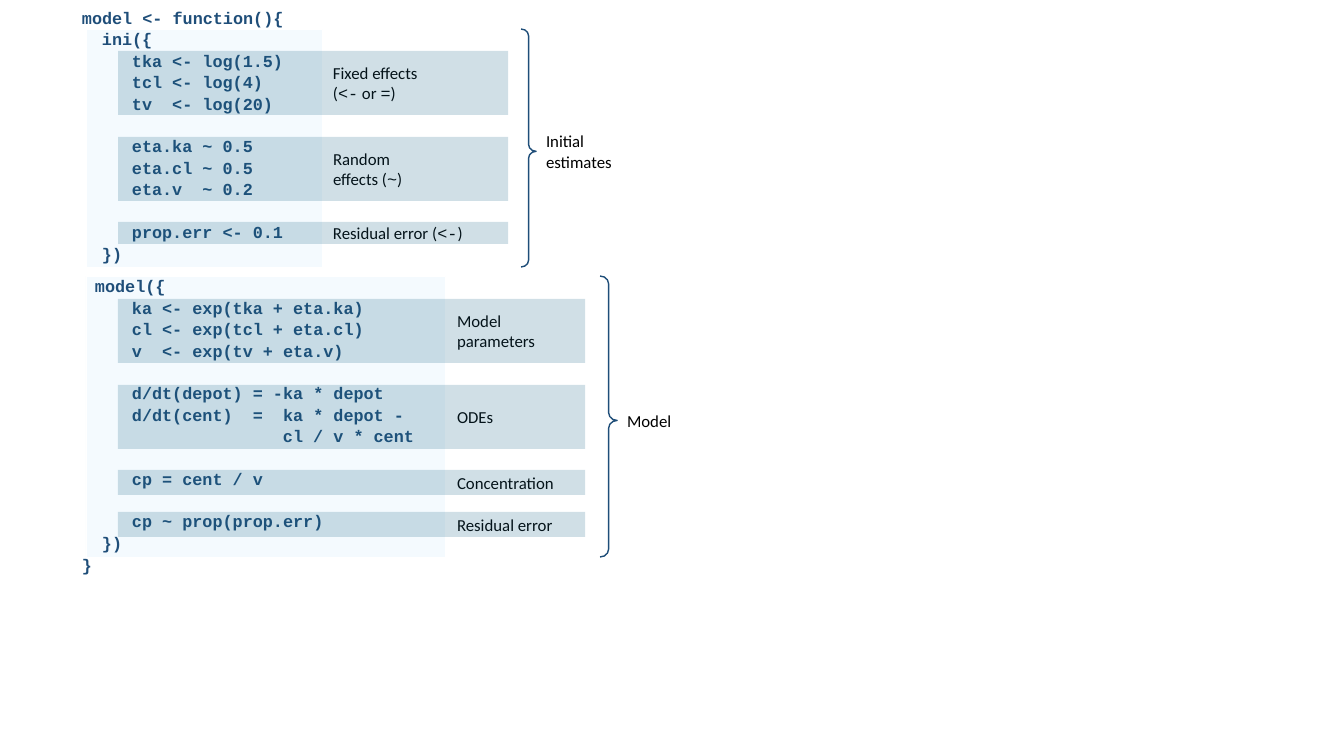
"""Build a slide that annotates the two blocks of a model function."""
from lxml import etree
from pptx import Presentation, util as u
from pptx.dml import color
from pptx.enum import shapes, text
from pptx.oxml import ns

COLORS = {"panel": "F4FAFE", "edge": "FFFFFF", "band": "156082",
          "code": "1F4E79", "label": "000000"}
BODY, MONO = "Calibri", "Courier New"
PX = 914400 / 100.8
ROW, BLOCK_GAP = 21, 11
CODE_BOX = (72, 1, 375, 598)
BAND_LEFT = 118
BRACE_BEND = (0.459, 0.514)

# (indent, space above, line)
CODE = [
    (0, 0, "model <- function(){"),
    (20, 0, "ini({"),
    (50, 0, "tka <- log(1.5)"),
    (50, 0, "tcl <- log(4)"),
    (50, 0, "tv  <- log(20)"),
    (50, ROW, "eta.ka ~ 0.5"),
    (50, 0, "eta.cl ~ 0.5"),
    (50, 0, "eta.v  ~ 0.2"),
    (50, ROW, "prop.err <- 0.1"),
    (20, 0, "})"),
    (13, BLOCK_GAP, "model({"),
    (50, 0, "ka <- exp(tka + eta.ka)"),
    (50, 0, "cl <- exp(tcl + eta.cl)"),
    (50, 0, "v  <- exp(tv + eta.v)"),
    (50, ROW, "d/dt(depot) = -ka * depot"),
    (50, 0, "d/dt(cent)  =  ka * depot -"),
    (201, 0, "cl / v * cent"),
    (50, ROW, "cp = cent / v"),
    (50, ROW, "cp ~ prop(prop.err)"),
    (20, 0, "})"),
    (0, 0, "}"),
]

# Backticks enclose code; bands are (top, height, label width, label lines, label)
BLOCKS = [
    {"panel": (86, 29, 236, 238), "brace": (521, 15), "name": ("Initial estimates", 2),
     "band_width": 390, "label_left": 323, "bands": [
         (51, 64, 115, 2, "Fixed effects\n(`<-` or `=`)"),
         (137, 64, 146, 2, "Random\neffects (`~`)"),
         (222, 22, 215, 1, "Residual error (`<-`)")]},
    {"panel": (86, 276, 359, 281), "brace": (600, 17), "name": ("Model", 1),
     "band_width": 467, "label_left": 447, "bands": [
         (299, 64, 118, 2, "Model parameters"),
         (385, 64, 90, 1, "ODEs"),
         (470, 25, 128, 1, "Concentration"),
         (512, 25, 128, 1, "Residual error")]},
]


def px(length):
    return u.Emu(round(length * PX))


def rgb(name):
    return color.RGBColor.from_string(COLORS[name])


def add_shape(slide, preset, box, fill=None, line=None, weight=1, alpha=None):
    shape = slide.shapes.add_shape(preset, *map(px, box))
    shape.shadow.inherit = False
    if fill:
        shape.fill.solid()
        shape.fill.fore_color.rgb = rgb(fill)
    else:
        shape.fill.background()
    if alpha:
        tint = shape.fill._xPr.find(".//" + ns.qn("a:srgbClr"))
        etree.SubElement(tint, ns.qn("a:alpha")).set("val", str(alpha * 1000))
    if line:
        shape.line.color.rgb = rgb(line)
        shape.line.width = u.Pt(weight)
    else:
        shape.line.fill.background()
    return shape


def add_text(slide, box):
    frame = slide.shapes.add_textbox(*map(px, box)).text_frame
    frame.word_wrap = True
    return frame


def add_label(slide, left, middle, width, lines, label):
    height = 10 + 20 * lines
    frame = add_text(slide, (left, middle - height / 2, width, height))
    frame.vertical_anchor = text.MSO_ANCHOR.MIDDLE
    paragraph = frame.paragraphs[0]
    paragraph.font.size = u.Pt(12)
    paragraph.font.color.rgb = rgb("label")
    for i, piece in enumerate(label.split("`")):
        for j, line in enumerate(piece.split("\n")):
            if j:
                paragraph.add_line_break()
            run = paragraph.add_run()
            run.text = line
            run.font.name = MONO if i % 2 else BODY


def add_code(slide):
    frame = add_text(slide, CODE_BOX)
    for i, (indent, above, line) in enumerate(CODE):
        paragraph = frame.add_paragraph() if i else frame.paragraphs[0]
        paragraph.text = line
        paragraph.line_spacing = 1.07
        paragraph.space_before = px(above)
        paragraph._p.get_or_add_pPr().set("marL", str(px(indent)))
        font = paragraph.font
        font.name, font.size, font.bold = MONO, u.Pt(12), True
        font.color.rgb = rgb("code")


def add_annotations(slide, block):
    _, top, _, height = block["panel"]
    for y, band_height, width, lines, label in block["bands"]:
        add_label(slide, block["label_left"], y + band_height / 2, width, lines, label)
        add_shape(slide, shapes.MSO_SHAPE.RECTANGLE,
                  (BAND_LEFT, y, block["band_width"], band_height), "band", alpha=20)
    left, width = block["brace"]
    brace = add_shape(slide, shapes.MSO_SHAPE.RIGHT_BRACE,
                      (left, top, width, height), line="code")
    for i, bend in enumerate(BRACE_BEND):
        brace.adjustments[i] = bend
    name, lines = block["name"]
    add_label(slide, left + width, top + height * BRACE_BEND[1], 115, lines, name)


def main():
    deck = Presentation()
    deck.slide_width, deck.slide_height = u.Inches(13.33), u.Inches(7.5)
    slide = deck.slides.add_slide(deck.slide_layouts[6])
    for block in BLOCKS:
        add_shape(slide, shapes.MSO_SHAPE.RECTANGLE, block["panel"], "panel", "edge", 0.5)
    add_code(slide)
    for block in BLOCKS:
        add_annotations(slide, block)
    deck.save("out.pptx")


if __name__ == "__main__":
    main()
